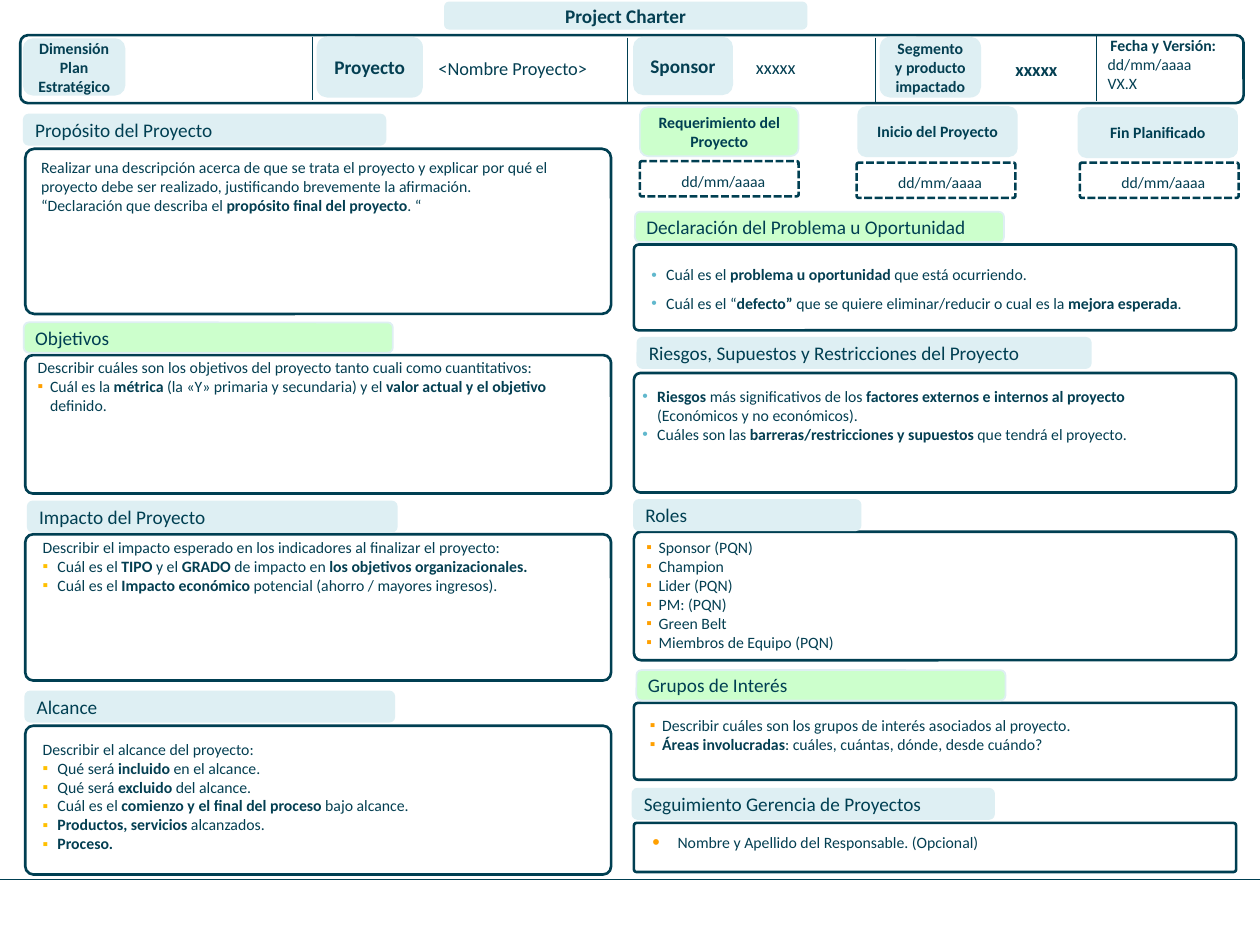
import pptx
import pptx.util
import pptx.dml.color
import pptx.enum.dml
import pptx.enum.shapes
import pptx.enum.text
from lxml import etree
from pptx.oxml.ns import qn

Cm, Pt = pptx.util.Cm, pptx.util.Pt
ALIGN, ANCHOR = pptx.enum.text.PP_ALIGN, pptx.enum.text.MSO_ANCHOR

DARK, INK, PALE, GREEN, WHITE = "003F52", "043F52", "DEEFF3", "CCFFCC", "FFFFFF"
TAB_HEIGHT = 0.61
PANEL_SPANS = {"left": (0.51, 11.81), "right": (12.78, 12.14)}  # left, width

# Bullet styles: character, colour, indent in cm, size in percent
YELLOW_SQUARE = ("▪", "FFC000", 0.3, 100)
ORANGE_SQUARE = ("▪", "FFA000", 0.25, 100)
BLUE_DOT = ("•", "61B8CD", 0.3, 100)
ORANGE_DOT = ("•", "FFA000", 0.51, 135)

# Text between ** marks is bold.
# column, title, tab fill, tab (left, top, width), panel (top, height),
# text box, bullet style, line spacing, plain lines, bulleted lines
SECTIONS = [
    ("left", "Propósito del Proyecto", PALE, (0.48, 2.31, 7.29), (3, 3.33),
     (0.58, 3.05, 11.51, 1.42), None, 1,
     ["Realizar una descripción acerca de que se trata el proyecto y explicar por qué el "
      "proyecto debe ser realizado, justificando brevemente la afirmación.",
      "“Declaración que describa el **propósito final del proyecto**. “"], []),
    ("left", "Objetivos", GREEN, (0.48, 6.5, 7.44), (7.16, 2.79),
     (0.51, 7.09, 11.79, 1.8), ORANGE_SQUARE, 1,
     ["Describir cuáles son los objetivos del proyecto tanto cuali como cuantitativos:"],
     ["Cuál es la **métrica **(la «Y» primaria y secundaria) y el "
      "**valor actual y el objetivo **definido."]),
    ("left", "Impacto del Proyecto", PALE, (0.56, 10.11, 7.44), (10.77, 2.95),
     (0.61, 10.72, 11.51, 1.8), YELLOW_SQUARE, 1,
     ["Describir el impacto esperado en los indicadores al finalizar el proyecto:"],
     ["Cuál es el **TIPO** y el **GRADO** de impacto en **los objetivos organizacionales.**",
      "Cuál es el **Impacto económico **potencial (ahorro / mayores ingresos)."]),
    ("left", "Alcance", PALE, (0.51, 13.94, 7.44), (14.63, 3),
     (0.61, 14.78, 11.51, 2.57), YELLOW_SQUARE, 1,
     ["Describir el alcance del proyecto:"],
     ["Qué será **incluido** en el alcance.",
      "Qué será **excluido** del alcance.",
      "Cuál es el **comienzo y el final del proceso **bajo alcance.",
      "**Productos, servicios **alcanzados.",
      "**Proceso.**"]),
    ("right", "Declaración del Problema u Oportunidad", GREEN, (12.8, 4.27, 7.44), (4.93, 1.73),
     (12.88, 5.03, 11.51, 1.8), BLUE_DOT, 1.5, [],
     ["Cuál es el **problema u oportunidad **que está ocurriendo.",
      "Cuál es el “**defecto”** que se quiere eliminar/reducir o cual es la "
      "**mejora esperada**."]),
    ("right", "Riesgos, Supuestos y Restricciones del Proyecto", PALE, (12.85, 6.81, 9.14),
     (7.52, 2.41), (12.7, 7.67, 11.51, 1.8), BLUE_DOT, 1, [],
     ["**Riesgos** más significativos de los **factores externos e internos al proyecto **"
      "(Económicos y no económicos).",
      "Cuáles son las **barreras/restricciones y supuestos** que tendrá el proyecto."]),
    ("right", "Roles", PALE, (12.78, 10.08, 4.57), (10.72, 2.59),
     (12.78, 10.72, 5.77, 2.57), ORANGE_SQUARE, 1, [],
     ["Sponsor (PQN)", "Champion", "Lider (PQN)", "PM: (PQN)", "Green Belt",
      "Miembros de Equipo (PQN)"]),
    ("right", "Grupos de Interés", GREEN, (12.83, 13.51, 7.44), (14.17, 1.55),
     (12.85, 14.3, 11.51, 1.42), ORANGE_SQUARE, 1, [],
     ["Describir cuáles son los grupos de interés asociados al proyecto.",
      "**Áreas involucradas**: cuáles, cuántas, dónde, desde cuándo?"]),
    ("right", "Seguimiento Gerencia de Proyectos", PALE, (12.75, 15.9, 7.29), (16.59, 0.99),
     (12.9, 16.66, 11.51, 0.63), ORANGE_DOT, 1, [],
     ["Nombre y Apellido del Responsable. (Opcional)"]),
]

# text, box, size
HEADER_LABELS = [
    ("Project Charter", (8.97, 0.05, 7.29, 0.53), 11),
    ("Dimensión Plan Estratégico", (0.48, 0.79, 2.03, 1.12), 9),
    ("Proyecto", (6.4, 0.76, 2.11, 1.19), 11),
    ("Sponsor", (12.78, 0.76, 1.98, 1.14), 11),
    ("Segmento y producto impactado", (17.75, 0.76, 2.01, 1.19), 9),
]
HEADER_VALUES = [
    ("<Nombre Proyecto>", (8.59, 1.02, 5.72, 0.71)),
    ("xxxxx", (14.99, 0.99, 1.4, 0.71)),
    ("**xxxxx**", (20.22, 1.04, 1.4, 0.71)),
]
HEADER_DIVIDERS = [(6.3, 0.74, 2.01), (12.65, 0.76, 2.06), (17.65, 0.76, 2.06),
                   (22.1, 0.69, 2.03)]  # x, top, bottom
VERSION_LINES = ["**Fecha y Versión:**", "dd/mm/aaaa", "VX.X"]

# label, fill, label (left, top), date box (left, top)
MILESTONES = [
    ("Requerimiento del Proyecto", GREEN, (12.9, 2.16), (12.9, 3.25)),
    ("Inicio del Proyecto", PALE, (17.3, 2.16), (17.27, 3.28)),
    ("Fin Planificado", PALE, (21.74, 2.18), (21.77, 3.28)),
]

deck = pptx.Presentation()
deck.slide_width, deck.slide_height = Cm(25.4), Cm(19.05)
slide = deck.slides.add_slide(deck.slide_layouts[6])


def rgb(value):
    return pptx.dml.color.RGBColor.from_string(value)


def set_indent(paragraph, left, first=0):
    properties = paragraph._p.get_or_add_pPr()
    properties.set("marL", str(Cm(left)))
    properties.set("indent", str(Cm(first)))
    return properties


def add_bullet(paragraph, style):
    char, color, indent, percent = style
    properties = set_indent(paragraph, indent, -indent)
    bullet_color = etree.SubElement(properties, qn("a:buClr"))
    etree.SubElement(bullet_color, qn("a:srgbClr"), val=color)
    etree.SubElement(properties, qn("a:buSzPct"), val=str(percent * 1000))
    etree.SubElement(properties, qn("a:buFont"), typeface="Arial")
    etree.SubElement(properties, qn("a:buChar"), char=char)


def write(frame, lines, size, color=INK, align=ALIGN.LEFT, bullet=None, plain=0, spacing=1):
    """Fill the frame; the first `plain` lines carry no bullet."""
    for number, line in enumerate(lines):
        paragraph = frame.paragraphs[0] if number == 0 else frame.add_paragraph()
        if bullet and number >= plain:
            add_bullet(paragraph, bullet)
        paragraph.alignment = align
        paragraph.line_spacing = spacing
        font = paragraph.font
        font.name, font.size, font.color.rgb = "Calibri", Pt(size), rgb(color)
        for part, words in enumerate(line.split("**")):
            if words:
                run = paragraph.add_run()
                run.text = words
                if part % 2:
                    run.font.bold = True


def add_text(box, lines, size=9, anchor=ANCHOR.TOP, **options):
    frame = slide.shapes.add_textbox(*map(Cm, box)).text_frame
    frame.word_wrap = True
    frame.auto_size = pptx.enum.text.MSO_AUTO_SIZE.SHAPE_TO_FIT_TEXT
    frame.vertical_anchor = anchor
    write(frame, lines, size, **options)
    return frame


def add_rounded(box, fill, line, width, rounding):
    shape = slide.shapes.add_shape(pptx.enum.shapes.MSO_SHAPE.ROUNDED_RECTANGLE, *map(Cm, box))
    shape.shadow.inherit = False
    shape.adjustments[0] = rounding
    shape.fill.solid()
    shape.fill.fore_color.rgb = rgb(fill)
    shape.line.color.rgb = rgb(line)
    shape.line.width = Pt(width)
    return shape


def add_panel(box, rounding=0.055):
    return add_rounded(box, WHITE, DARK, 1.5, rounding)


def add_label(box, text, fill=PALE, size=11, **options):
    frame = add_rounded(box, fill, PALE, 1, 0.167).text_frame
    frame.margin_left = frame.margin_right = Cm(0.2)
    frame.margin_top = frame.margin_bottom = Cm(0.1)
    frame.vertical_anchor = ANCHOR.MIDDLE
    write(frame, [text], size, **options)


def add_rule(*ends):
    rule = slide.shapes.add_connector(pptx.enum.shapes.MSO_CONNECTOR.STRAIGHT, *map(Cm, ends))
    rule.line.color.rgb = rgb(DARK)
    rule.line.width = Pt(0.75)
    etree.SubElement(rule._element.spPr, qn("a:effectLst"))


add_rule(0, 17.73, 25.4, 17.73)

add_panel((0.41, 0.71, 24.66, 1.37), 0.112)
for x, top, bottom in HEADER_DIVIDERS:
    add_rule(x, top, x, bottom)
for text, box, size in HEADER_LABELS:
    add_label(box, f"**{text}**", size=size, align=ALIGN.CENTER)
for text, box in HEADER_VALUES:
    add_text(box, [text], 10.5, ANCHOR.MIDDLE)
version = add_text((21.95, 0.58, 3, 1.42), VERSION_LINES, anchor=ANCHOR.MIDDLE)
version.paragraphs[0].alignment = ALIGN.CENTER
for paragraph in version.paragraphs[1:]:
    set_indent(paragraph, 0.13)

for text, fill, label_at, (left, top) in MILESTONES:
    add_label((*label_at, 3.2, 0.99), f"**{text}**", fill, 9, color=DARK, align=ALIGN.CENTER)
    date_box = add_panel((left, top, 3.2, 0.71))
    date_box.line.dash_style = pptx.enum.dml.MSO_LINE.SQUARE_DOT
    add_text((left + 0.08, top + 0.08, 3.2, 0.63), ["dd/mm/aaaa"], align=ALIGN.CENTER)

for column, title, fill, tab, (top, height), box, bullet, spacing, plain, items in SECTIONS:
    left, width = PANEL_SPANS[column]
    add_panel((left, top, width, height))
    add_label((*tab, TAB_HEIGHT), title, fill, color=DARK)
    add_text(box, plain + items, bullet=bullet, plain=len(plain), spacing=spacing)

deck.save("out.pptx")
